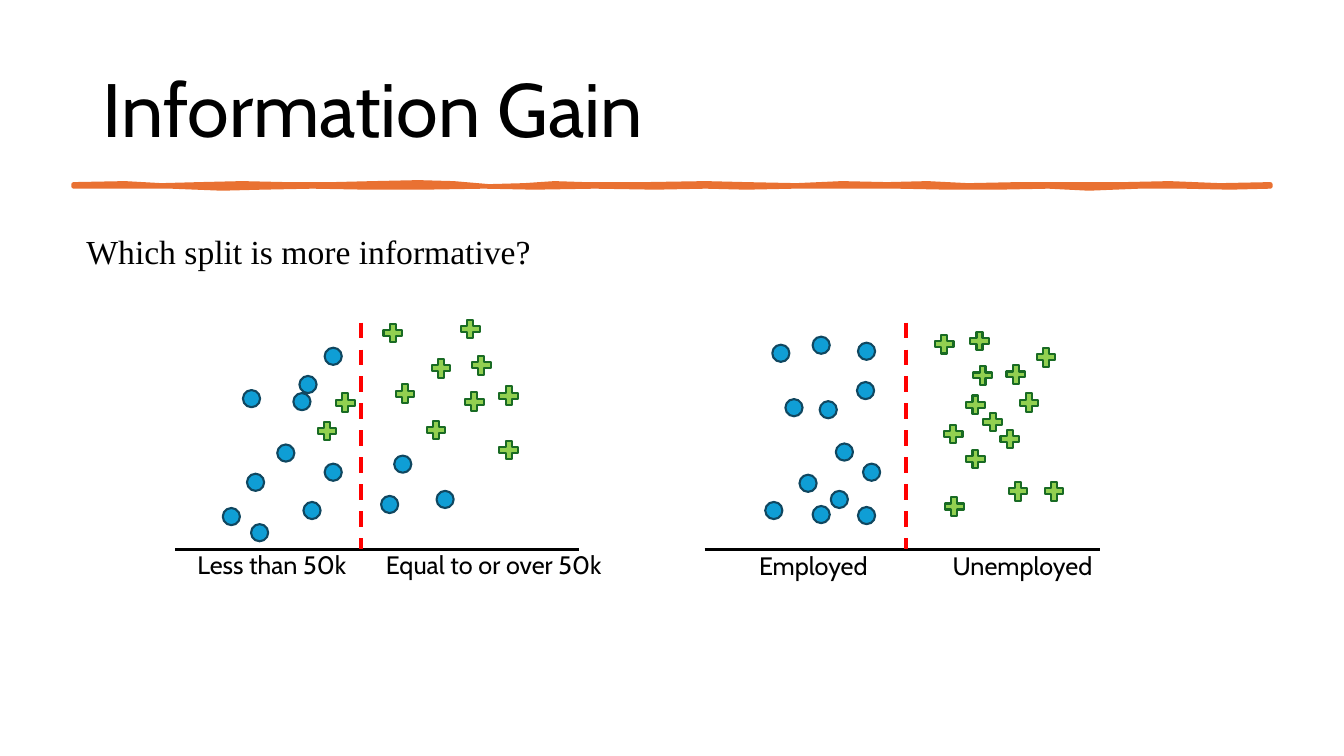
import pptx
import pptx.util
import pptx.dml.color
import pptx.enum.dml
import pptx.enum.shapes
import pptx.enum.text
import pptx.oxml

Inches = pptx.util.Inches
Pt = pptx.util.Pt
RGBColor = pptx.dml.color.RGBColor
MSO_SHAPE = pptx.enum.shapes.MSO_SHAPE
MSO_ANCHOR = pptx.enum.text.MSO_ANCHOR

BLACK = RGBColor(0x00, 0x00, 0x00)
RED = RGBColor(0xFF, 0x00, 0x00)
ORANGE = RGBColor(0xE9, 0x71, 0x32)
BLUE = RGBColor(0x0F, 0x9E, 0xD5)
DARK_BLUE = RGBColor(0x10, 0x47, 0x60)
GREEN = RGBColor(0x92, 0xD0, 0x50)
DARK_GREEN = RGBColor(0x19, 0x6B, 0x24)

RULE_TOP = [
    (0.73, 1.83), (1.24, 1.82), (1.6, 1.84), (1.98, 1.83), (2.4, 1.82), (2.84, 1.83),
    (3.3, 1.83), (3.7, 1.82), (4.15, 1.81), (4.5, 1.82), (4.85, 1.85), (5.2, 1.84),
    (5.5, 1.82), (5.8, 1.83), (6.4, 1.83), (7.0, 1.82), (7.4, 1.83), (7.9, 1.84),
    (8.35, 1.82), (8.8, 1.83), (9.2, 1.82), (9.6, 1.84), (10.1, 1.83), (10.6, 1.83),
    (11.15, 1.83), (11.6, 1.82), (12.1, 1.84), (12.6, 1.83)]
RULE_BOTTOM = [
    (12.6, 1.85), (12.2, 1.86), (11.74, 1.85), (11.3, 1.85), (10.8, 1.87), (10.4, 1.85),
    (9.9, 1.86), (9.4, 1.86), (8.9, 1.85), (8.4, 1.85), (7.88, 1.85), (7.4, 1.86),
    (7.0, 1.85), (6.5, 1.86), (5.9, 1.85), (5.3, 1.86), (4.8, 1.85), (4.2, 1.86),
    (3.64, 1.86), (3.1, 1.85), (2.6, 1.86), (2.2, 1.87), (1.7, 1.85), (1.2, 1.85),
    (0.73, 1.85)]

INCOME_DOTS = [
    (2.45, 4.7), (3.91, 4.52), (2.41, 3.87), (3.22, 4.6), (2.97, 3.73), (2.21, 5.04),
    (3.22, 3.45), (3.01, 4.98), (2.75, 4.41), (2.91, 3.9), (2.49, 5.2), (4.33, 4.87),
    (3.78, 4.92)]
INCOME_PLUSES = [
    (3.77, 3.18), (4.2, 4.14), (3.89, 3.78), (4.54, 3.14), (4.92, 3.8), (4.65, 3.5),
    (4.25, 3.53), (4.92, 4.34), (4.58, 3.86), (3.3, 3.87), (3.12, 4.15)]
JOB_DOTS = [
    (7.93, 4.71), (8.06, 5.02), (8.51, 5.03), (8.56, 4.6), (8.29, 4.4), (8.24, 4.87),
    (8.5, 3.79), (7.59, 4.98), (8.06, 3.34), (8.51, 3.4), (7.79, 3.96), (8.13, 3.98),
    (7.66, 3.42)]
JOB_PLUSES = [
    (9.55, 3.89), (9.55, 4.43), (9.33, 4.18), (9.59, 3.26), (9.95, 3.59), (10.08, 3.87),
    (9.62, 3.6), (10.25, 3.42), (9.97, 4.75), (10.33, 4.75), (9.34, 4.9), (9.24, 3.29),
    (9.72, 4.06), (9.89, 4.23)]


class SplitSlide:
    """Draws the elements of the slide in one style."""

    def __init__(self, s, font="Cabin"):
        self.s = s
        self.font = font

    def paint(self, sp, fill, line, width):
        sp.shadow.inherit = False
        sp.fill.solid()
        sp.fill.fore_color.rgb = fill
        sp.line.color.rgb = line
        sp.line.width = Pt(width)

    def text(self, text, x, y, w, h, size, font=None, anchor=MSO_ANCHOR.TOP, spacing=1.0):
        tf = self.s.shapes.add_textbox(Inches(x), Inches(y), Inches(w), Inches(h)).text_frame
        tf.word_wrap = True
        tf.vertical_anchor = anchor
        p = tf.paragraphs[0]
        p.line_spacing = spacing
        r = p.add_run()
        r.text = text
        r.font.name = font or self.font
        r.font.size = Pt(size)
        r.font.color.rgb = BLACK

    def rule(self, points):
        outline = [(Inches(x), Inches(y)) for x, y in points]
        fb = self.s.shapes.build_freeform(*outline[0])
        fb.add_line_segments(outline[1:], close=True)
        self.paint(fb.convert_to_shape(), ORANGE, ORANGE, 3.25)

    def line(self, x1, y1, x2, y2, color, width, dash=None):
        sp = self.s.shapes.add_connector(
            pptx.enum.shapes.MSO_CONNECTOR.STRAIGHT,
            Inches(x1), Inches(y1), Inches(x2), Inches(y2))
        sp.line.color.rgb = color
        sp.line.width = Pt(width)
        if dash:
            sp.line.dash_style = dash
        effects = pptx.oxml.parse_xml(
            '<a:effectLst xmlns:a="http://schemas.openxmlformats.org/drawingml/2006/main"/>')
        sp._element.spPr.append(effects)

    def marks(self, places, shape, size, fill, line):
        for x, y in places:
            sp = self.s.shapes.add_shape(
                shape, Inches(x), Inches(y), Inches(size), Inches(size))
            self.paint(sp, fill, line, 1.5)

    def plot(self, left, right, split, dots, pluses, labels, label_y):
        base = 5.45
        self.line(left, base, right, base, BLACK, 2.25)
        self.line(split, 3.2, split, base, RED, 2.75, pptx.enum.dml.MSO_LINE.DASH)
        self.marks(dots, MSO_SHAPE.OVAL, 0.17, BLUE, DARK_BLUE)
        self.marks(pluses, MSO_SHAPE.MATH_PLUS, 0.25, GREEN, DARK_GREEN)
        for text, x, w in labels:
            self.text(text, x, label_y, w, 0.4, 18)


def main():
    prs = pptx.Presentation()
    prs.slide_width = Inches(13.33)
    prs.slide_height = Inches(7.5)
    slide = SplitSlide(prs.slides.add_slide(prs.slide_layouts[6]))
    slide.rule(RULE_TOP + RULE_BOTTOM)
    slide.text("Information Gain", 0.92, 0.4, 11.5, 1.45, 54,
               anchor=MSO_ANCHOR.MIDDLE, spacing=0.9)
    slide.text("Which split is more informative?", 0.76, 2.24, 9.97, 0.5, 24,
               font="Times New Roman")
    slide.plot(1.74, 5.74, 3.58, INCOME_DOTS, INCOME_PLUSES,
               [("Less than 50k", 1.86, 1.8), ("Equal to or over 50k", 3.73, 2.5)], 5.4)
    slide.plot(6.99, 10.91, 8.99, JOB_DOTS, JOB_PLUSES,
               [("Employed", 7.43, 1.5), ("Unemployed", 9.35, 1.8)], 5.41)
    prs.save("out.pptx")


if __name__ == "__main__":
    main()
